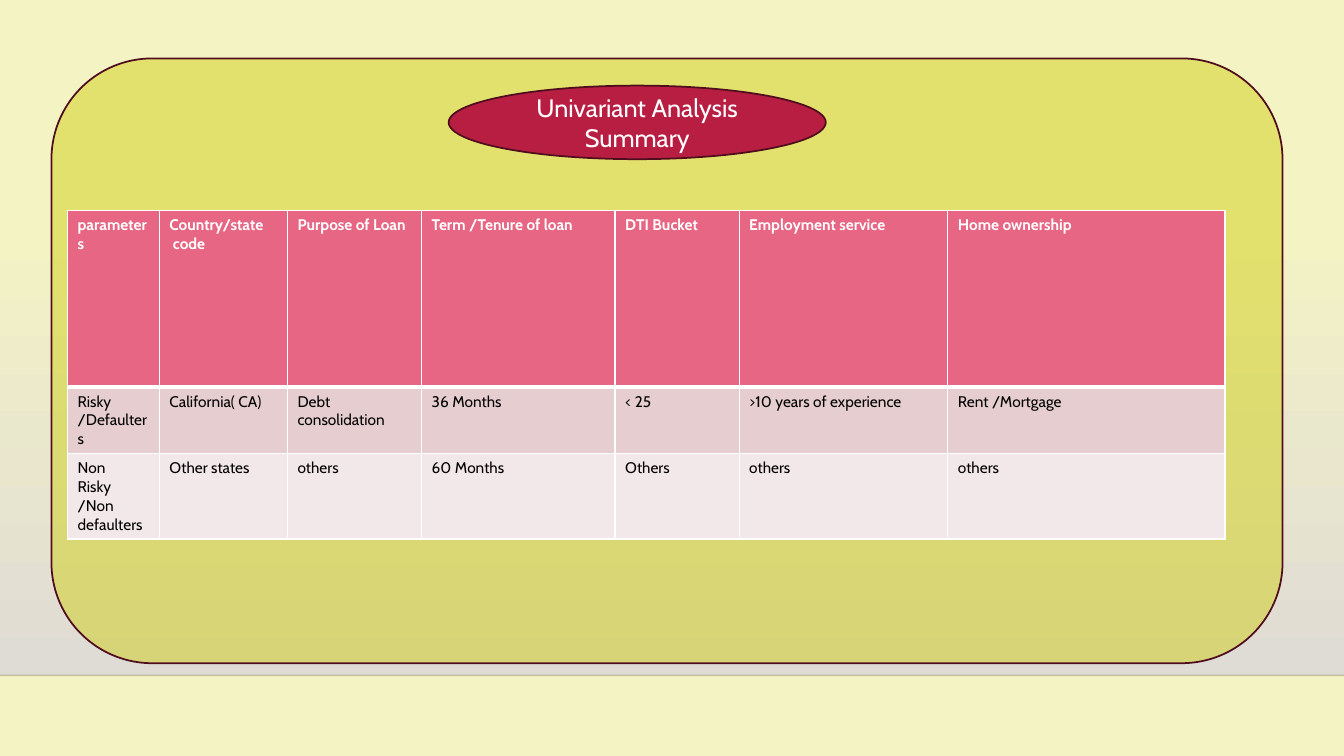
from dataclasses import dataclass
from lxml.etree import SubElement
from pptx import Presentation
from pptx.dml.color import RGBColor
from pptx.enum.shapes import MSO_CONNECTOR, MSO_SHAPE
from pptx.enum.text import MSO_ANCHOR, PP_ALIGN
from pptx.oxml import parse_xml
from pptx.oxml.ns import nsdecls, qn
from pptx.util import Inches, Pt


@dataclass(frozen=True)
class Theme:
    font: str = "Cabin"
    title_size: float = 18
    table_size: float = 11
    page: str = "F4F3C4"
    haze: str = "DFDBD5"
    panel: str = "CCCC00"
    panel_alpha: int = 44
    badge: str = "B71E42"
    outline: str = "500D1D"
    floor: str = "000001"
    floor_alpha: int = 20
    header: str = "E66684"
    bands: tuple = ("E6CDCF", "F3E8E9")
    light: str = "FFFFFF"
    dark: str = "000000"


class SlideBuilder:
    def __init__(self, prs, theme):
        self.prs = prs
        self.theme = theme
        self.s = prs.slides.add_slide(prs.slide_layouts[6])
        self.paint(self.s.background.fill, theme.page)

    def x(self, share):
        return round(self.prs.slide_width * share / 100)

    def y(self, share):
        return round(self.prs.slide_height * share / 100)

    def box(self, left, top, width, height):
        return self.x(left), self.y(top), self.x(width), self.y(height)

    def paint(self, fill, color):
        fill.solid()
        fill.fore_color.rgb = RGBColor.from_string(color)

    def fade(self, element, alpha):
        color = next(element.iter(qn("a:srgbClr")))
        SubElement(color, qn("a:alpha")).set("val", str(alpha * 1000))

    def shape(self, kind, area, color, outline=None):
        sp = self.s.shapes.add_shape(kind, *self.box(*area))
        sp.shadow.inherit = False
        self.paint(sp.fill, color)
        if outline:
            self.paint(sp.line.fill, outline)
            sp.line.width = Pt(1.25)
        else:
            sp.line.fill.background()
        return sp

    def gradient(self, area, top_color, bottom_color):
        sp = self.shape(MSO_SHAPE.RECTANGLE, area, bottom_color)
        sp.fill.gradient()
        sp.fill.gradient_angle = 270
        for stop, color in zip(sp.fill.gradient_stops, (top_color, bottom_color)):
            stop.color.rgb = RGBColor.from_string(color)

    def rule(self, top, color, alpha):
        y = self.y(top)
        line = self.s.shapes.add_connector(
            MSO_CONNECTOR.STRAIGHT, 0, y, self.x(100), y)
        self.paint(line.line.fill, color)
        line.line.width = Pt(1)
        props = line._element.spPr
        self.fade(props, alpha)
        SubElement(props, qn("a:effectLst"))

    def text(self, tf, text, size, color, bold=False, align=PP_ALIGN.LEFT):
        tf.word_wrap = True
        for i, words in enumerate(text.split("\n")):
            p = tf.add_paragraph() if i else tf.paragraphs[0]
            p.alignment = align
            r = p.add_run()
            r.text = words
            r.font.name = self.theme.font
            r.font.size = Pt(size)
            r.font.bold = bold
            r.font.color.rgb = RGBColor.from_string(color)

    def borders(self, cell, widths):
        props = cell._tc.get_or_add_tcPr()
        for i, (side, width) in enumerate(widths.items()):
            props.insert(i, parse_xml(
                f'<a:ln{side} {nsdecls("a")} w="{Pt(width)}"><a:solidFill>'
                f'<a:srgbClr val="{self.theme.light}"/></a:solidFill></a:ln{side}>'))

    def table(self, left, top, columns, heights, rows):
        t = self.theme
        area = self.box(left, top, sum(columns), sum(heights))
        table = self.s.shapes.add_table(len(rows), len(columns), *area).table
        for column, width in zip(table.columns, columns):
            column.width = self.x(width)
        for i, (row, height, texts) in enumerate(zip(table.rows, heights, rows)):
            row.height = self.y(height)
            is_header = i == 0
            fill = t.header if is_header else t.bands[(i - 1) % 2]
            color = t.light if is_header else t.dark
            widths = {"L": 1, "R": 1, "T": 3 if i == 1 else 1,
                      "B": 3 if is_header else 1}
            for cell, text in zip(row.cells, texts):
                self.paint(cell.fill, fill)
                self.borders(cell, widths)
                self.text(cell.text_frame, text, t.table_size, color, is_header)


SUMMARY = [
    ("parameters", "Country/state\n code", "Purpose of Loan",
     "Term /Tenure of loan", "DTI Bucket", "Employment service",
     "Home ownership"),
    ("Risky /Defaulters", "California( CA)", "Debt consolidation",
     "36 Months", "< 25", ">10 years of experience", "Rent /Mortgage"),
    ("Non Risky /Non defaulters", "Other states", "others",
     "60 Months", "Others", "others", "others"),
]


def main():
    prs = Presentation()
    prs.slide_width, prs.slide_height = Inches(13.33), Inches(7.5)
    theme = Theme()
    slide = SlideBuilder(prs, theme)

    slide.gradient((0, 29.47, 100, 59.86), theme.page, theme.haze)
    slide.rule(89.33, theme.floor, theme.floor_alpha)

    panel = slide.shape(MSO_SHAPE.ROUNDED_RECTANGLE, (3.83, 7.73, 91.6, 80),
                        theme.panel, theme.outline)
    slide.fade(panel._element.spPr, theme.panel_alpha)

    badge = slide.shape(MSO_SHAPE.OVAL, (33.38, 11.33, 28.06, 9.73),
                        theme.badge, theme.outline)
    badge.text_frame.vertical_anchor = MSO_ANCHOR.MIDDLE
    slide.text(badge.text_frame, "Univariant Analysis Summary",
               theme.title_size, theme.light, align=PP_ALIGN.CENTER)

    slide.table(5.03, 27.87, (6.83, 9.53, 9.98, 14.4, 9.23, 15.53, 20.63),
                (23.33, 7.87, 9.6), SUMMARY)
    prs.save("out.pptx")


if __name__ == "__main__":
    main()
